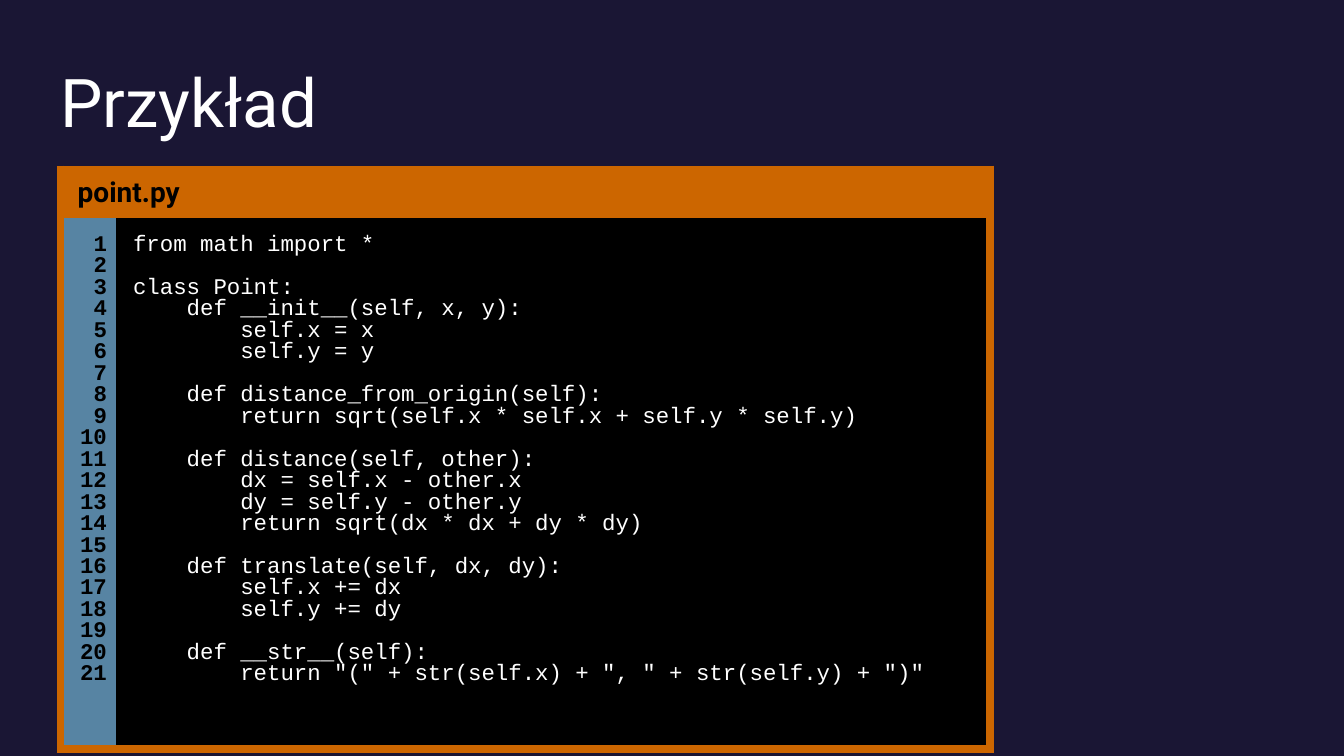
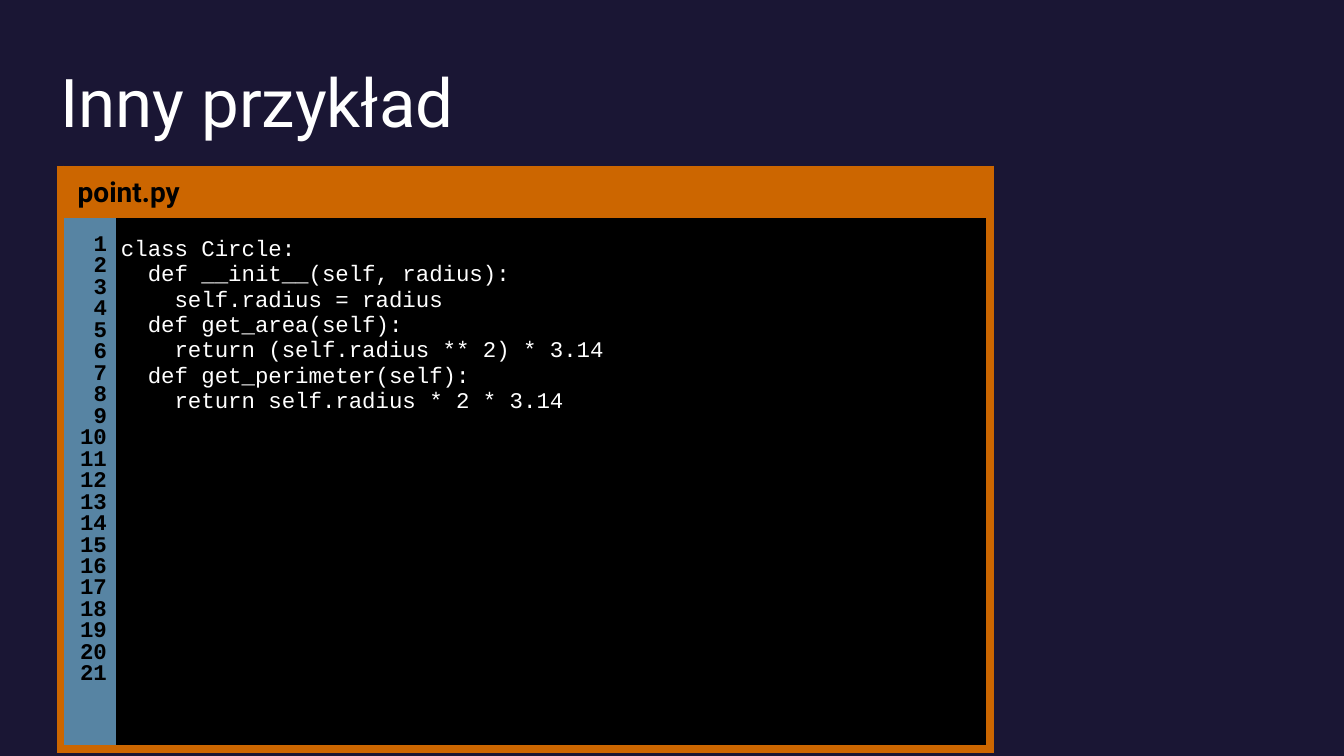
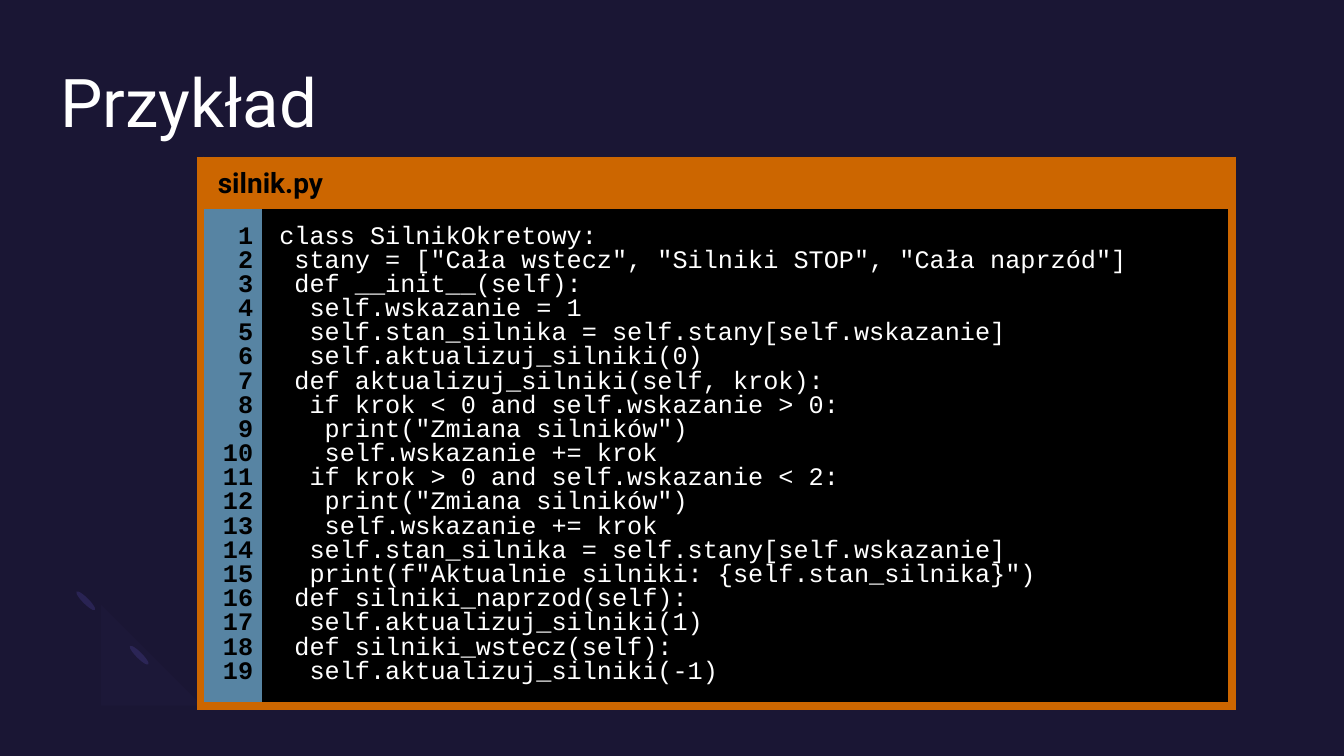
from lxml import etree
from pptx import Presentation
from pptx.dml.color import RGBColor
from pptx.enum.shapes import MSO_SHAPE
from pptx.enum.text import MSO_ANCHOR, MSO_AUTO_SIZE, PP_ALIGN
from pptx.oxml.ns import qn
from pptx.util import Inches, Pt

OVAL = MSO_SHAPE.OVAL
TOP = MSO_ANCHOR.TOP
LEFT, RIGHT = PP_ALIGN.LEFT, PP_ALIGN.RIGHT
NO_AUTOFIT = MSO_AUTO_SIZE.NONE

# Content
POINT_CODE = '''from math import *

class Point:
    def __init__(self, x, y):
        self.x = x
        self.y = y

    def distance_from_origin(self):
        return sqrt(self.x * self.x + self.y * self.y)

    def distance(self, other):
        dx = self.x - other.x
        dy = self.y - other.y
        return sqrt(dx * dx + dy * dy)

    def translate(self, dx, dy):
        self.x += dx
        self.y += dy

    def __str__(self):
        return "(" + str(self.x) + ", " + str(self.y) + ")"'''

CIRCLE_CODE = '''class Circle:
  def __init__(self, radius):
    self.radius = radius
  def get_area(self):
    return (self.radius ** 2) * 3.14
  def get_perimeter(self):
    return self.radius * 2 * 3.14'''

ENGINE_CODE = '''class SilnikOkretowy:
 stany = ["Cała wstecz", "Silniki STOP", "Cała naprzód"]
 def __init__(self):
  self.wskazanie = 1
  self.stan_silnika = self.stany[self.wskazanie]
  self.aktualizuj_silniki(0)
 def aktualizuj_silniki(self, krok):
  if krok < 0 and self.wskazanie > 0:
   print("Zmiana silników")
   self.wskazanie += krok
  if krok > 0 and self.wskazanie < 2:
   print("Zmiana silników")
   self.wskazanie += krok
  self.stan_silnika = self.stany[self.wskazanie]
  print(f"Aktualnie silniki: {self.stan_silnika}")
 def silniki_naprzod(self):
  self.aktualizuj_silniki(1)
 def silniki_wstecz(self):
  self.aktualizuj_silniki(-1)'''

WIDE_LISTING = {"at": (0.6, 1.68), "height": 5.72, "columns": (0.55, 8.67),
                "rows": (0.42, 5.3), "numbers": 21, "size": 16}
ENGINE_LISTING = {"at": (1.99, 1.59), "height": 5.79, "columns": (0.61, 9.62),
                  "rows": (0.42, 0.85), "numbers": 19, "size": 18}
SLIDES = [
    {"title": "Przykład", "file": "point.py", "code": POINT_CODE,
     "tight": True, **WIDE_LISTING},
    {"title": "Inny przykład", "file": "point.py", "code": CIRCLE_CODE,
     "tight": False, **WIDE_LISTING},
    {"title": "Przykład", "file": "silnik.py", "code": ENGINE_CODE,
     "tight": True, **ENGINE_LISTING},
]

# Theme
THEME = {
    "background": "1A1634", "dash": "292353", "arc": "7266BE",
    "frame": "CC6600", "gutter": "5784A3", "screen": "000000",
    "light": "FFFFFF", "dark": "000000",
    "font": "Roboto", "code_font": "Courier New",
    "title_size": 48, "file_size": 20, "border": 6,
}
TITLE_BOX = (0.6, 0.6, 12.13, 1.46)
CODE_INDENT = 0.12
TIGHT_SPACING = 0.67

# Ornament: two dashes and an arc of four-point curves and straight edges
DASHES = [(1.35, 6.37), (0.82, 5.83)]
DASH_SIZE = (0.06, 0.26)
ARC_OPACITY = 3
ARC_START = (0.76, 6.59)
ARC_STEPS = [
    [(0.56, 6.39), (0.58, 6.05), (0.81, 5.82)], [(0.99, 6)],
    [(0.87, 6.11), (0.86, 6.29), (0.96, 6.38)],
    [(1.06, 6.48), (1.23, 6.47), (1.35, 6.36)], [(1.52, 6.54)],
    [(1.3, 6.76), (0.95, 6.79), (0.76, 6.59)],
]


def color(name):
    return RGBColor.from_string(THEME[name])


def apply(target, values):
    for name, value in values.items():
        setattr(target, name, value)


def paint(fill, name):
    fill.solid()
    fill.fore_color.rgb = color(name)


def write_run(paragraph, text, font, size, ink, bold=False):
    run = paragraph.add_run()
    run.text = text
    apply(run.font, {"name": THEME[font], "size": Pt(size), "bold": bold})
    run.font.color.rgb = color(ink)


def curve_points(start, step, count=12):
    if len(step) == 1:
        return step
    corners = [start, *step]
    points = []
    for index in range(1, count + 1):
        t = index / count
        weights = ((1 - t) ** 3, 3 * t * (1 - t) ** 2, 3 * t * t * (1 - t), t ** 3)
        points.append(tuple(sum(weight * corner[axis] for weight, corner
                                in zip(weights, corners)) for axis in (0, 1)))
    return points


def add_ornament(slide, layout):
    """Draw the ornament and hand it to the layout shared by all slides."""
    ornaments = []
    for left, top in DASHES:
        dash = slide.shapes.add_shape(OVAL, *map(Inches, (left, top, *DASH_SIZE)))
        dash.rotation = 135
        paint(dash.fill, "dash")
        ornaments.append(dash)

    builder = slide.shapes.build_freeform(*ARC_START, scale=Inches(1))
    pen = ARC_START
    for step in ARC_STEPS:
        builder.add_line_segments(curve_points(pen, step), close=False)
        pen = step[-1]
    arc = builder.convert_to_shape()
    paint(arc.fill, "arc")
    tint = next(arc.element.spPr.iter(qn("a:srgbClr")))
    etree.SubElement(tint, qn("a:alpha"), val=str(ARC_OPACITY * 1000))
    ornaments.append(arc)

    for shape in ornaments:
        shape.shadow.inherit = False
        shape.line.fill.background()
        layout.shapes.element.append(shape.element)


def set_borders(cell, sides):
    properties = cell._tc.get_or_add_tcPr()
    for side in "LRTB":
        line = etree.SubElement(properties, qn(f"a:ln{side}"),
                                w=str(Pt(THEME["border"])))
        if side in sides:
            fill = etree.SubElement(line, qn("a:solidFill"))
            etree.SubElement(fill, qn("a:srgbClr"), val=THEME["frame"])
        else:
            etree.SubElement(line, qn("a:noFill"))


def fill_cell(cell, lines, fill, sides, margins, style, spacing, align=LEFT):
    """Write one paragraph a line; spacing None means plain paragraphs."""
    set_borders(cell, sides)
    paint(cell.fill, fill)
    names = ("margin_left", "margin_top", "margin_right", "margin_bottom")
    apply(cell, dict(zip(names, map(Inches, margins)), vertical_anchor=TOP))
    size = style["size"]
    frame = cell.text_frame
    for index, text in enumerate(lines):
        paragraph = frame.add_paragraph() if index else frame.paragraphs[0]
        paragraph.alignment = align
        if spacing:
            apply(paragraph, {"line_spacing": spacing,
                              "space_before": Pt(0.2 * size)})
            properties = paragraph._p.get_or_add_pPr()
            properties.set("marL", str(Inches(CODE_INDENT)))
            properties.set("indent", "0")
        if text:
            write_run(paragraph, text, **style)
        else:
            end = etree.SubElement(paragraph._p, qn("a:endParaRPr"),
                                   sz=str(size * 100))
            etree.SubElement(end, qn("a:latin"), typeface=THEME["code_font"])


def add_listing(slide, content):
    columns, rows = content["columns"], content["rows"]
    frame = slide.shapes.add_table(
        2, 2, *map(Inches, (*content["at"], sum(columns), content["height"])))
    table = frame.table
    apply(table, {"first_row": False, "horz_banding": False})
    for column, width in zip(table.columns, columns):
        column.width = Inches(width)
    for row, height in zip(table.rows, rows):
        row.height = Inches(height)
    frame.height = Inches(content["height"])

    header, header_rest = table.cell(0, 0), table.cell(0, 1)
    header.merge(header_rest)
    set_borders(header_rest, "RTB")
    size = content["size"]
    fill_cell(header, [content["file"]], "frame", "LRTB", [0.05] * 4,
              {"font": "font", "size": THEME["file_size"], "ink": "dark",
               "bold": True}, 1.07)
    fill_cell(table.cell(1, 0), map(str, range(1, content["numbers"] + 1)),
              "gutter", "LTB", (0.05, 0.23, 0.09, 0.23),
              {"font": "code_font", "size": size, "ink": "dark", "bold": True},
              TIGHT_SPACING, RIGHT)
    fill_cell(table.cell(1, 1), content["code"].split("\n"),
              "screen", "RTB", (0.05, 0.23, 0.18, 0.23),
              {"font": "code_font", "size": size, "ink": "light"},
              TIGHT_SPACING if content["tight"] else None)


def add_title(slide, text):
    frame = slide.shapes.title.text_frame
    apply(frame, {"margin_left": 0, "margin_top": 0, "margin_right": 0,
                  "margin_bottom": 0, "vertical_anchor": TOP,
                  "word_wrap": True, "auto_size": NO_AUTOFIT})
    paragraph = frame.paragraphs[0]
    paragraph.alignment = LEFT
    write_run(paragraph, text, "font", THEME["title_size"], "light")


def main():
    presentation = Presentation()
    apply(presentation, {"slide_width": Inches(13.33), "slide_height": Inches(7.5)})
    paint(presentation.slide_master.background.fill, "background")
    layout = presentation.slide_layouts.get_by_name("Title Only")
    apply(layout.placeholders[0], dict(zip(("left", "top", "width", "height"),
                                           map(Inches, TITLE_BOX))))
    for content in SLIDES:
        slide = presentation.slides.add_slide(layout)
        add_title(slide, content["title"])
        add_listing(slide, content)
    add_ornament(presentation.slides[0], layout)
    presentation.save("out.pptx")


if __name__ == "__main__":
    main()
